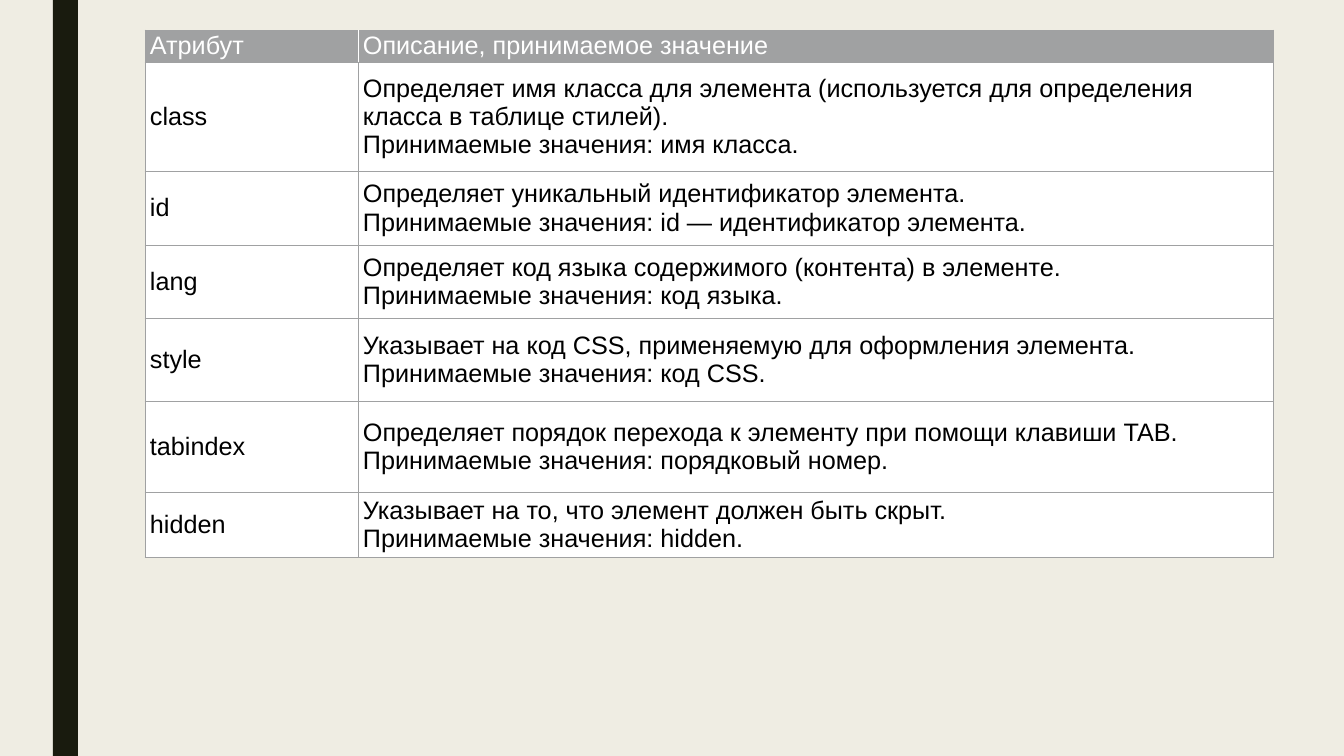
from lxml.etree import SubElement
from pptx import Presentation
from pptx.dml.color import RGBColor
from pptx.enum.shapes import MSO_SHAPE
from pptx.enum.text import MSO_ANCHOR
from pptx.oxml import parse_xml
from pptx.oxml.ns import nsdecls, qn
from pptx.util import Emu, Pt

PAPER, INK, GRAY = "EFEDE3", "191B0E", "A0A1A2"
WHITE, BLACK = "FFFFFF", "000000"


def px(pixels):
    return Emu(round(pixels * 914400 / 100.8))


def color(value):
    return RGBColor.from_string(value)


class SlideBuilder:
    font_name = "Arial"
    font_size = Pt(18)
    border_width = Pt(0.75)

    def __init__(self, slide):
        self.slide = slide

    def background(self, fill):
        self.slide.background.fill.solid()
        self.slide.background.fill.fore_color.rgb = color(fill)

    def bar(self, left, top, width, height, fill):
        stripe = self.slide.shapes.add_shape(
            MSO_SHAPE.RECTANGLE, px(left), px(top), px(width), px(height))
        stripe.shadow.inherit = False
        stripe.fill.solid()
        stripe.fill.fore_color.rgb = color(fill)
        stripe.line.fill.background()

    def borders(self, cell, colors):
        properties = cell._tc.get_or_add_tcPr()
        for position, side in enumerate("LRTB"):
            line = parse_xml(f'<a:ln{side} {nsdecls("a")} w="{self.border_width}"/>')
            fill = SubElement(line, qn("a:solidFill"))
            SubElement(fill, qn("a:srgbClr"), val=colors.get(side, GRAY))
            properties.insert(position, line)

    def cell(self, cell, text, fill, text_color, border_colors):
        cell.fill.solid()
        cell.fill.fore_color.rgb = color(fill)
        cell.vertical_anchor = MSO_ANCHOR.MIDDLE
        cell.margin_left = cell.margin_right = px(5)
        cell.margin_top = cell.margin_bottom = px(2)
        paragraph = cell.text_frame.paragraphs[0]
        paragraph.text = text
        for font in [paragraph.font, *(run.font for run in paragraph.runs)]:
            font.name = self.font_name
            font.size = self.font_size
            font.color.rgb = color(text_color)
        self.borders(cell, border_colors)

    def table(self, left, top, widths, heights, rows):
        table = self.slide.shapes.add_table(
            len(rows), len(widths), px(left), px(top),
            px(sum(widths)), px(sum(heights))).table
        for column, width in zip(table.columns, widths):
            column.width = px(width)
        for row, height in zip(table.rows, heights):
            row.height = px(height)
        for r, texts in enumerate(rows):
            for c, text in enumerate(texts):
                if r == 0:
                    divider = {"R": WHITE} if c == 0 else {"L": WHITE}
                    self.cell(table.cell(r, c), text, GRAY, WHITE, divider)
                else:
                    self.cell(table.cell(r, c), text, WHITE, BLACK, {})


header = ("Атрибут", "Описание, принимаемое значение")
attributes = [
    ("class", "Определяет имя класса для элемента (используется для определения "
     "класса в таблице стилей).", " имя класса."),
    ("id", "Определяет уникальный идентификатор элемента.",
     "\u00a0id\u00a0— идентификатор элемента."),
    ("lang", "Определяет код языка содержимого (контента) в элементе.", " код языка."),
    ("style", "Указывает на код CSS, применяемую для оформления элемента.", " код CSS."),
    ("tabindex", "Определяет порядок перехода к элементу при помощи клавиши TAB.",
     " порядковый номер."),
    ("hidden", "Указывает на то, что элемент должен быть скрыт.", "\u00a0hidden."),
]
rows = [header] + [
    (name, f"{description}\vПринимаемые значения:{values}")
    for name, description, values in attributes
]

presentation = Presentation()
presentation.slide_width = px(1344)
presentation.slide_height = px(756)
builder = SlideBuilder(presentation.slides.add_slide(presentation.slide_layouts[6]))
builder.background(PAPER)
builder.bar(53, 0, 25, 756, INK)
builder.table(145, 30, [213, 915], [32, 109, 74, 73, 83, 91, 65], rows)
presentation.save("out.pptx")
